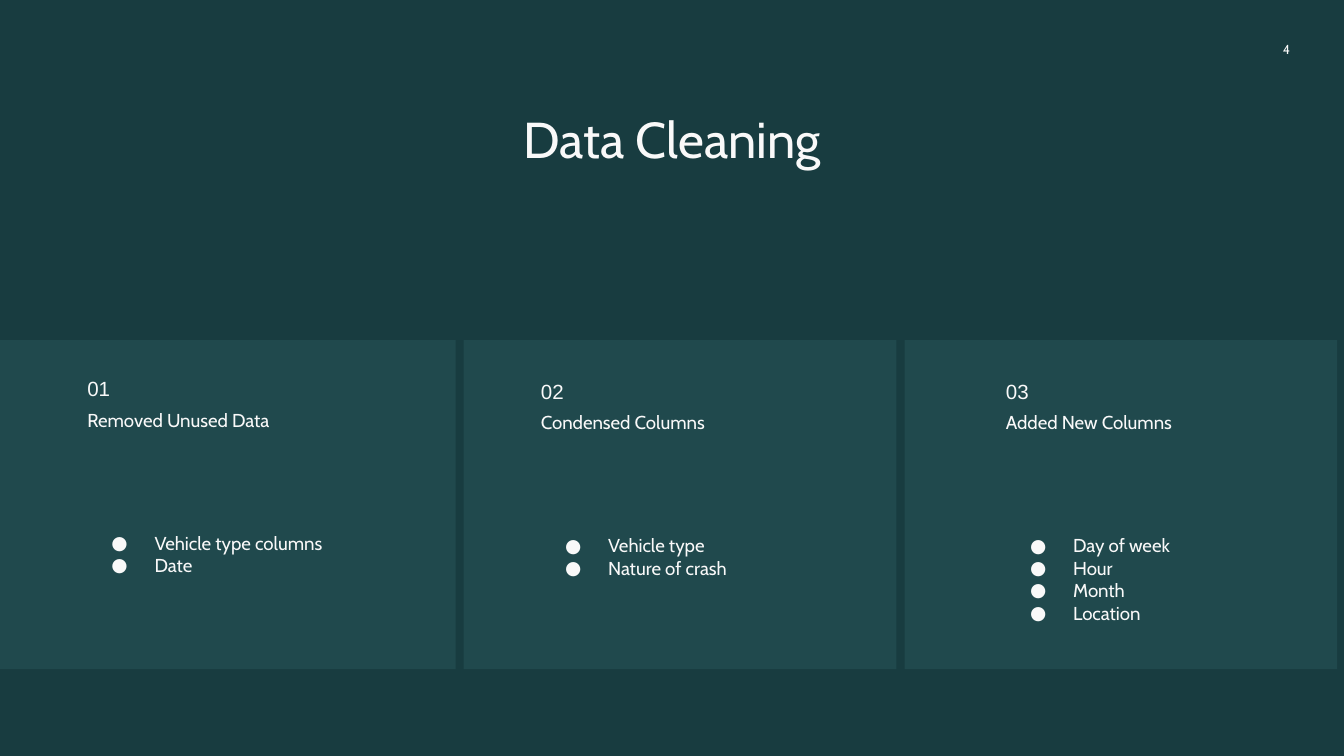
from dataclasses import dataclass

import pptx
import pptx.dml.color
import pptx.enum.shapes
import pptx.enum.text
import pptx.oxml
import pptx.oxml.ns
import pptx.util

# Lengths are px, 200 to the inch
PX = 4572
BACKGROUND, PANEL, TEXT = "183C40", "20494D", "F9F9F9"
PANEL_TOP, PANEL_HEIGHT = 506, 490
LABEL_WIDTH, LABEL_HEIGHT, LIST_HEIGHT = 360, 34, 148
ALIGN = pptx.enum.text.PP_ALIGN
ANCHOR = pptx.enum.text.MSO_ANCHOR


@dataclass
class Column:
    number: str
    heading: str
    items: list[str]
    panel_left: int
    panel_width: int
    text_left: int
    number_top: int
    heading_top: int
    list_top: int
    list_width: int


COLUMNS = [
    Column("01", "Removed Unused Data", ["Vehicle type columns", "Date"],
           0, 678, 130, 562, 608, 791, 500),
    Column("02", "Condensed Columns", ["Vehicle type", "Nature of crash"],
           690, 644, 805, 566, 611, 795, 492),
    Column("03", "Added New Columns", ["Day of week", "Hour", "Month", "Location"],
           1346, 644, 1497, 566, 611, 795, 454),
]


def px(length: int) -> pptx.util.Emu:
    return pptx.util.Emu(length * PX)


def color(value: str) -> pptx.dml.color.RGBColor:
    return pptx.dml.color.RGBColor.from_string(value)


def place(shape, left: int, top: int, width: int, height: int) -> None:
    shape.left, shape.top = px(left), px(top)
    shape.width, shape.height = px(width), px(height)


def write(shape, text: str, size: int, font: str = "Cabin", align=ALIGN.LEFT,
          anchor=ANCHOR.TOP, spacing: float = 1.0, inset: int = 0) -> None:
    frame = shape.text_frame
    frame.text = text
    frame.word_wrap = True
    frame.vertical_anchor = anchor
    frame.margin_left = frame.margin_right = 0
    frame.margin_top = frame.margin_bottom = px(inset)
    for paragraph in frame.paragraphs:
        paragraph.alignment = align
        paragraph.line_spacing = spacing
        paragraph.space_before = pptx.util.Pt(0)
        for run in paragraph.runs:
            run.font.name = font
            run.font.size = pptx.util.Pt(size)
            run.font.color.rgb = color(TEXT)


def add_text(slide, box: tuple[int, int, int, int], text: str, size: int, **style):
    shape = slide.shapes.add_textbox(*map(px, box))
    write(shape, text, size, **style)
    return shape


def add_bullets(shape) -> None:
    namespace = pptx.oxml.ns.nsdecls("a")
    for paragraph in shape.text_frame.paragraphs:
        properties = paragraph._p.get_or_add_pPr()
        properties.set("marL", str(px(100)))
        properties.set("indent", str(px(-64)))
        for xml in (f'<a:buClr {namespace}><a:srgbClr val="{TEXT}"/></a:buClr>',
                    f'<a:buFont {namespace} typeface="Cabin"/>',
                    f'<a:buChar {namespace} char="●"/>'):
            properties.append(pptx.oxml.parse_xml(xml))


def add_panel(slide, column: Column) -> None:
    panel = slide.shapes.add_shape(
        pptx.enum.shapes.MSO_SHAPE.RECTANGLE, px(column.panel_left),
        px(PANEL_TOP), px(column.panel_width), px(PANEL_HEIGHT))
    panel.shadow.inherit = False
    panel.fill.solid()
    panel.fill.fore_color.rgb = color(PANEL)
    panel.line.fill.background()


def add_column(slide, column: Column) -> None:
    left = column.text_left
    add_panel(slide, column)
    add_text(slide, (left, column.number_top, LABEL_WIDTH, LABEL_HEIGHT),
             column.number, 11, font="Arial", anchor=ANCHOR.BOTTOM, spacing=1.15)
    add_text(slide, (left, column.heading_top, LABEL_WIDTH, LABEL_HEIGHT),
             column.heading, 10)
    bullets = add_text(slide, (left, column.list_top, column.list_width, LIST_HEIGHT),
                       "\n".join(column.items), 10)
    add_bullets(bullets)


def main() -> None:
    presentation = pptx.Presentation()
    presentation.slide_width, presentation.slide_height = px(2000), px(1125)
    slide = presentation.slides.add_slide(presentation.slide_layouts[5])
    slide.background.fill.solid()
    slide.background.fill.fore_color.rgb = color(BACKGROUND)

    # Title
    title = slide.shapes.title
    place(title, 545, 161, 910, 90)
    write(title, "Data Cleaning", 27, align=ALIGN.CENTER, anchor=ANCHOR.BOTTOM,
          spacing=1.15)
    title.text_frame.auto_size = pptx.enum.text.MSO_AUTO_SIZE.SHAPE_TO_FIT_TEXT

    # Three columns
    for column in COLUMNS:
        add_column(slide, column)

    # Page number
    add_text(slide, (1800, 48, 120, 52), "4", 7, align=ALIGN.RIGHT,
             anchor=ANCHOR.MIDDLE, inset=20)

    presentation.save("out.pptx")


if __name__ == "__main__":
    main()
